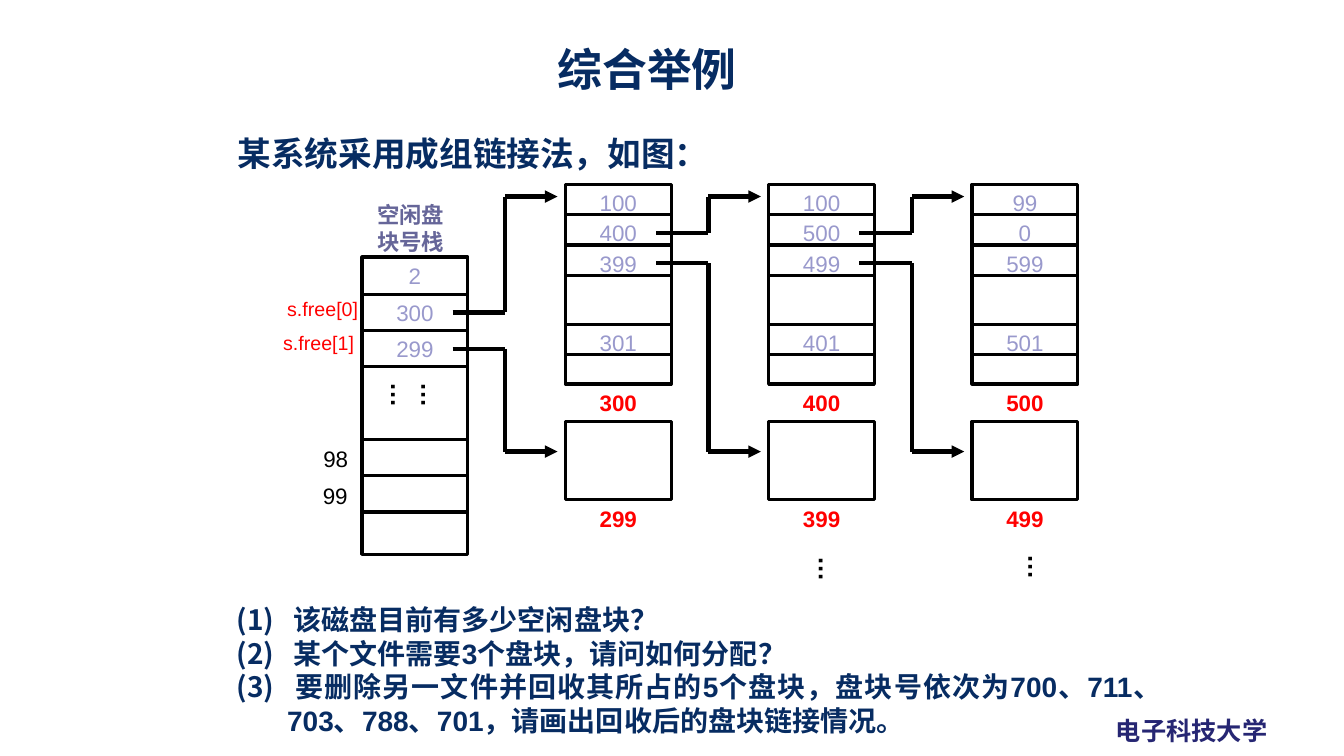
import pptx
import pptx.util
import pptx.dml.color
import pptx.enum.shapes
import pptx.enum.text
import pptx.oxml.ns
import lxml.etree

RGB = pptx.dml.color.RGBColor
NAVY = RGB(0x07, 0x2C, 0x62)
INDIGO = RGB(0x26, 0x26, 0x73)
SLATE = RGB(0x66, 0x66, 0x99)
LILAC = RGB(0x99, 0x99, 0xCC)
RED = RGB(0xFF, 0x00, 0x00)
BLACK = RGB(0x00, 0x00, 0x00)
LATIN, CJK = "Arial", "Noto Sans CJK SC"

TITLE = "综合举例 "
INTRO = "某系统采用成组链接法，如图："
SCHOOL = "电子科技大学"
STACK_NAME = ["空闲盘", "块号栈"]
STACK_ROWS = [(0.37, "2"), (0.36, "300"), (0.36, "299"), (0.72, ""),
              (0.36, ""), (0.36, ""), (0.42, "")]
GROUP_HEIGHTS = [0.3, 0.3, 0.3, 0.49, 0.3, 0.29]
GROUPS = [
    (["100", "400", "399", "", "301", ""], "300", "299"),
    (["100", "500", "499", "", "401", ""], "400", "399"),
    (["99", "0", "599", "", "501", ""], "500", "499"),
]
INDEX_LABELS = [
    ("98", (3.03, 4.37, 0.6, 0.37), 16, BLACK, "CENTER"),
    ("99", (2.99, 4.73, 0.67, 0.37), 16, BLACK, "CENTER"),
    ("s.free[0]", (2.75, 2.9, 1.12, 0.34), 14, RED, "LEFT"),
    ("s.free[1]", (2.71, 3.23, 1.12, 0.34), 14, RED, "LEFT"),
]
ELLIPSES = [("……", (3.98, 3.7, 0.5, 0.66)),
            ("…", (7.92, 5.42, 0.5, 0.35)),
            ("…", (10, 5.4, 0.5, 0.35))]
QUESTIONS = [
    " 该磁盘目前有多少空闲盘块？",
    " 某个文件需要3个盘块，请问如何分配？",
    " 要删除另一文件并回收其所占的5个盘块，盘块号依次为700、711、703、788、701，请画出回收后的盘块链接情况。",
]

COL_LEFT, COL_PITCH, COL_W = 3.59, 6.05 / 3, 1.05
STACK_TOP, GROUP_TOP = 2.55, 1.83
BLOCK_TOP, BLOCK_H, LABEL_H = 4.18, 0.78, 0.37
LINK_START, LINK_TURN, LINK_END = 0.9, 1.42, 1.94
LINK_TARGETS = [1.95, 4.48]
LINK_DROP = 0.18

IN = pptx.util.Inches
prs = pptx.Presentation()
prs.slide_width, prs.slide_height = IN(13.33), IN(7.5)
slide = prs.slides.add_slide(prs.slide_layouts[5])


def child(parent, tag, **attrs):
    return lxml.etree.SubElement(parent, pptx.oxml.ns.qn(tag), attrs)


def write(sp, lines, size, color, bold=False, align="CENTER", font=LATIN,
          spacing=None, numbered=False):
    tf = sp.text_frame
    tf.word_wrap = True
    tf.vertical_anchor = pptx.enum.text.MSO_ANCHOR.TOP
    tf.auto_size = pptx.enum.text.MSO_AUTO_SIZE.NONE
    for i, line in enumerate(lines):
        p = tf.add_paragraph() if i else tf.paragraphs[0]
        p.alignment = getattr(pptx.enum.text.PP_ALIGN, align)
        if spacing:
            p.line_spacing = spacing
        if numbered:
            pPr = p._p.get_or_add_pPr()
            pPr.set("marL", str(IN(0.5)))
            pPr.set("indent", str(IN(-0.5)))
            child(pPr, "a:buFont", typeface=LATIN)
            child(pPr, "a:buAutoNum", type="arabicParenBoth")
        r = p.add_run()
        r.text = line
        look = {"name": font, "size": pptx.util.Pt(size), "bold": bold}
        for key, value in look.items():
            setattr(r.font, key, value)
        r.font.color.rgb = color
        child(r._r.get_or_add_rPr(), "a:ea", typeface=CJK)


def text(box, lines, *args, vertical=False, **kwargs):
    sp = slide.shapes.add_textbox(*map(IN, box))
    write(sp, lines, *args, **kwargs)
    if vertical:
        sp.text_frame._txBody.bodyPr.set("vert", "eaVert")
    return sp


def rect(*box):
    sp = slide.shapes.add_shape(
        pptx.enum.shapes.MSO_SHAPE.RECTANGLE, *map(IN, box))
    sp.shadow.inherit = False
    sp.fill.background()
    sp.line.color.rgb = BLACK
    sp.line.width = pptx.util.Pt(2.25)


def line(start, end, width, arrow=False):
    c = slide.shapes.add_connector(
        pptx.enum.shapes.MSO_CONNECTOR.STRAIGHT, *map(IN, start + end))
    c.line.color.rgb = BLACK
    c.line.width = pptx.util.Pt(width)
    if arrow:
        child(c.line._get_or_add_ln(), "a:tailEnd", type="triangle")
    child(c._element.spPr, "a:effectLst")


def column(x, top, rows):
    rect(x, top, COL_W, sum(h for h, _ in rows))
    y = top
    for i, (h, value) in enumerate(rows):
        if i:
            line((x, y), (x + COL_W, y), 2.25)
        if value:
            text((x, y, COL_W, LABEL_H), [value], 16, LILAC)
        y += h


def links(x, top, rows):
    y = top + rows[0][0] + LINK_DROP
    for (h, _), target in zip(rows[1:3], LINK_TARGETS):
        points = [(x + LINK_START, y), (x + LINK_TURN, y),
                  (x + LINK_TURN, target), (x + LINK_END, target)]
        for i in range(3):
            line(points[i], points[i + 1], 3, arrow=i == 2)
        y += h


title = slide.shapes.title
for side, value in zip(("left", "top", "width", "height"),
                       (5.17, 0.36, 2.6, 0.63)):
    setattr(title, side, IN(value))
write(title, [TITLE], 32, NAVY, bold=True)
school = text((10.97, 7.05, 1.72, 0.4), [SCHOOL], 18, INDIGO, bold=True,
              align="LEFT", font=CJK)
school.text_frame.word_wrap = False
text((2.26, 1.13, 9.21, 0.65), [INTRO], 24, NAVY, bold=True,
     align="JUSTIFY", spacing=1.35)
text((3.44, 1.95, 1.27, 0.65), STACK_NAME, 16, SLATE, bold=True)

column(COL_LEFT, STACK_TOP, STACK_ROWS)
links(COL_LEFT, STACK_TOP, STACK_ROWS)
for n, (values, group_no, block_no) in enumerate(GROUPS, 1):
    x = COL_LEFT + n * COL_PITCH
    rows = list(zip(GROUP_HEIGHTS, values))
    column(x, GROUP_TOP, rows)
    rect(x, BLOCK_TOP, COL_W, BLOCK_H)
    for y, number in ((GROUP_TOP + sum(GROUP_HEIGHTS), group_no),
                      (BLOCK_TOP + BLOCK_H, block_no)):
        text((x, y, COL_W, LABEL_H), [number], 16, RED, bold=True)
    if n < len(GROUPS):
        links(x, GROUP_TOP, rows)

for label, box, size, color, align in INDEX_LABELS:
    text(box, [label], size, color, align=align)
for dots, box in ELLIPSES:
    text(box, [dots], 18, BLACK, bold=True, align="LEFT", vertical=True)
text((2.25, 5.93, 9.37, 1.45), QUESTIONS, 20, NAVY, bold=True,
     align="JUSTIFY", numbered=True)

prs.save("out.pptx")
